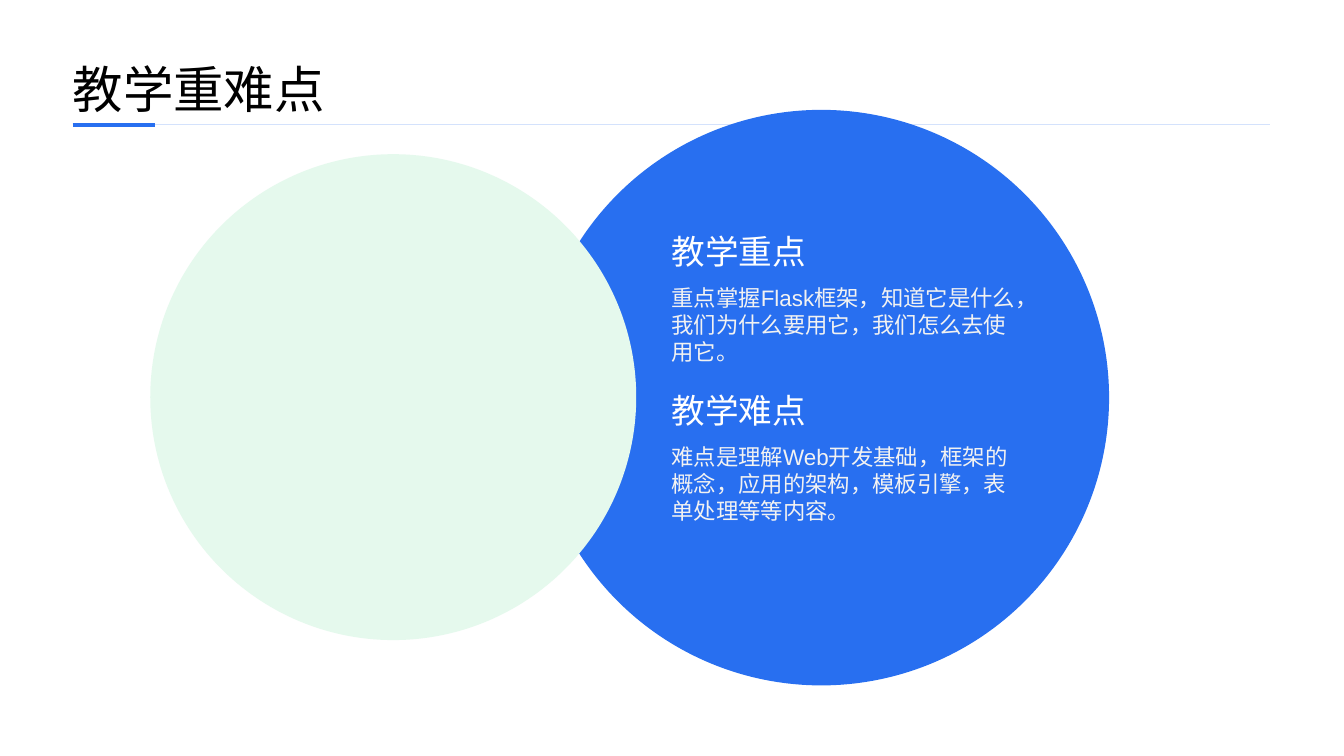
"""Build the slide on key and difficult teaching points."""
import dataclasses
import typing

import lxml.etree
import pptx
import pptx.dml.color
import pptx.enum.shapes
import pptx.enum.text
import pptx.oxml.ns
import pptx.util

WIDE, HIGH = 13.33, 7.5
CJK = "Noto Sans CJK SC"
BLUE = "286FF0"
LEFT, RULE = 0.72, 1.24
COL, TOP, STEP, DROP = 6.66, 2.29, 1.58, 0.53


@dataclasses.dataclass(frozen=True)
class Rule:
    """A line under the title."""
    end: float
    tint: str
    width: float


@dataclasses.dataclass(frozen=True)
class Disc:
    """A filled circle."""
    left: float
    top: float
    size: float
    tint: str


@dataclasses.dataclass(frozen=True)
class Point:
    """A heading with its text."""
    head: str
    text: str


RULES = [Rule(12.6, "D4E2FC", 0.75), Rule(1.54, BLUE, 2.25)]
DISCS = [Disc(5.29, 1.09, 5.71, BLUE), Disc(1.49, 1.53, 4.82, "E5F9ED")]
POINTS = [
    Point("教学重点", "重点掌握Flask框架，知道它是什么，我们为什么要用它，我们怎么去使用它。"),
    Point("教学难点", "难点是理解Web开发基础，框架的概念，应用的架构，模板引擎，表单处理等等内容。"),
]


def paint(tint: str) -> pptx.dml.color.RGBColor:
    """Turn a hex string into a colour."""
    return pptx.dml.color.RGBColor.from_string(tint)


def apply(thing: typing.Any, form: dict[str, typing.Any]) -> None:
    """Set each format value on an object."""
    for name, value in form.items():
        setattr(thing, name, value)


def place(shape: typing.Any, left: float, top: float, width: float, height: float) -> None:
    """Move and size a shape in inches."""
    spots = zip(("left", "top", "width", "height"), (left, top, width, height))
    apply(shape, {name: pptx.util.Inches(value) for name, value in spots})


def write(shape: typing.Any, text: str, size: float, face: str, tint: str,
          anchor: typing.Any = pptx.enum.text.MSO_ANCHOR.TOP) -> typing.Any:
    """Fill a shape with one styled paragraph and return it."""
    frame = shape.text_frame
    apply(frame, {"word_wrap": True, "vertical_anchor": anchor,
                  "auto_size": pptx.enum.text.MSO_AUTO_SIZE.NONE,
                  "margin_left": 0, "margin_right": 0,
                  "margin_top": 0, "margin_bottom": 0})
    para = frame.paragraphs[0]
    para.alignment = pptx.enum.text.PP_ALIGN.LEFT
    run = para.add_run()
    run.text = text
    apply(run.font, {"size": pptx.util.Pt(size), "name": face})
    run.font.color.rgb = paint(tint)
    if face == CJK:
        east = lxml.etree.SubElement(run.font._element, pptx.oxml.ns.qn("a:ea"))
        east.set("typeface", face)
    return para


def draw_rule(slide: typing.Any, rule: Rule) -> None:
    """Draw one line under the title."""
    ends = [pptx.util.Inches(value) for value in (LEFT, RULE, rule.end, RULE)]
    line = slide.shapes.add_connector(pptx.enum.shapes.MSO_CONNECTOR.STRAIGHT, *ends)
    line.line.color.rgb = paint(rule.tint)
    line.line.width = pptx.util.Pt(rule.width)
    lxml.etree.SubElement(line._element.spPr, pptx.oxml.ns.qn("a:effectLst"))


def draw_disc(slide: typing.Any, disc: Disc) -> None:
    """Draw one circle."""
    shape = slide.shapes.add_shape(pptx.enum.shapes.MSO_SHAPE.OVAL, 0, 0, 0, 0)
    place(shape, disc.left, disc.top, disc.size, disc.size)
    shape.shadow.inherit = False
    shape.fill.solid()
    shape.fill.fore_color.rgb = paint(disc.tint)
    shape.line.fill.background()


def draw_point(slide: typing.Any, point: Point, row: int) -> None:
    """Write one heading and its text in a row."""
    top = TOP + row * STEP
    head, body = (slide.shapes.add_textbox(0, 0, 0, 0) for _ in range(2))
    place(head, COL, top, 1.35, 0.4)
    write(head, point.head, 24, CJK, "FFFFFF")
    place(body, COL, top + DROP, 3.42, 0.81)
    write(body, point.text, 16, "Arial", "F2F2F2")


def main() -> None:
    """Build and save the slide."""
    deck = pptx.Presentation()
    apply(deck, {"slide_width": pptx.util.Inches(WIDE),
                 "slide_height": pptx.util.Inches(HIGH)})
    slide = deck.slides.add_slide(deck.slide_layouts[5])
    for rule in RULES:
        draw_rule(slide, rule)
    for disc in DISCS:
        draw_disc(slide, disc)
    for row, point in enumerate(POINTS):
        draw_point(slide, point, row)
    title = slide.shapes.title
    place(title, LEFT, 0.58, 4.76, 0.61)
    para = write(title, "教学重难点", 36, CJK, "000000",
                 pptx.enum.text.MSO_ANCHOR.BOTTOM)
    apply(para, {"line_spacing": 0.9, "space_before": pptx.util.Pt(10)})
    deck.save("out.pptx")


if __name__ == "__main__":
    main()
